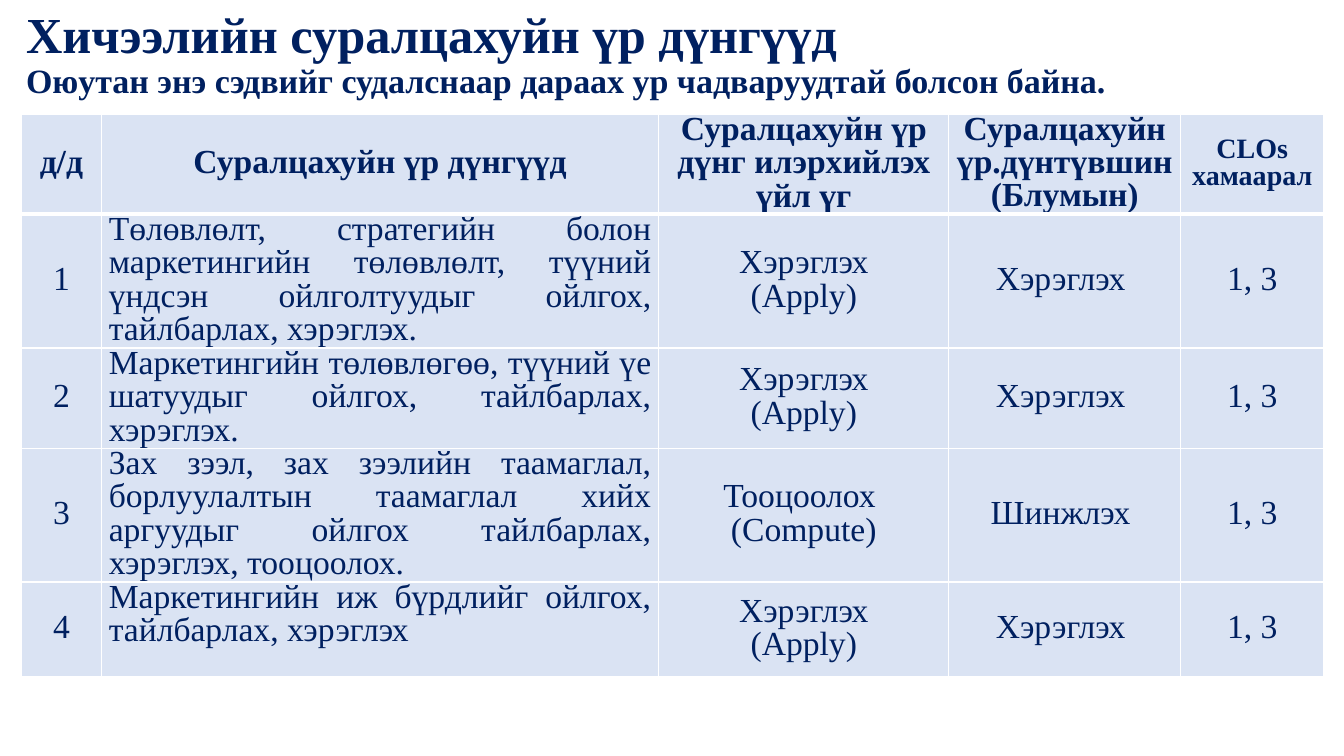
"""Build a slide that lists the learning outcomes of a course in a table."""
from dataclasses import dataclass

import lxml.etree
import pptx
import pptx.dml.color
import pptx.enum.text
import pptx.oxml.ns
import pptx.slide
import pptx.table
import pptx.text.text
import pptx.util

Pt = pptx.util.Pt
Align = pptx.enum.text.PP_ALIGN
Anchor = pptx.enum.text.MSO_ANCHOR

NAVY = pptx.dml.color.RGBColor(0x00, 0x20, 0x60)
PALE_BLUE = pptx.dml.color.RGBColor(0xDA, 0xE3, 0xF3)
WHITE = pptx.dml.color.RGBColor(0xFF, 0xFF, 0xFF)
FONT = "Times New Roman"
COLUMN_WIDTHS = (57, 398.16, 207.24, 165.6, 102.24)
ROW_HEIGHTS = (65.52, 92.16, 67.68, 92.16, 67.68)
LINE_PITCH = 0.995


@dataclass(frozen=True)
class Entry:
    text: str
    size: float = 24
    bold: bool = False
    align: Align = Align.CENTER
    anchor: Anchor = Anchor.MIDDLE


@dataclass(frozen=True)
class Outcome:
    description: str
    verb: str
    level: str
    anchor: Anchor = Anchor.MIDDLE


HEADER = (
    Entry("д/д", bold=True),
    Entry("Суралцахуйн үр дүнгүүд", bold=True),
    Entry("Суралцахуйн үр дүнг илэрхийлэх үйл үг", bold=True),
    Entry("Суралцахуйн үр.дүнтүвшин\n(Блумын)", bold=True, anchor=Anchor.TOP),
    Entry("CLOs хамаарал", size=20, bold=True),
)
OUTCOMES = (
    Outcome("Төлөвлөлт, стратегийн болон маркетингийн төлөвлөлт, түүний үндсэн "
            "ойлголтуудыг ойлгох, тайлбарлах, хэрэглэх. ",
            "Хэрэглэх\n(Apply)", "Хэрэглэх "),
    Outcome("Маркетингийн төлөвлөгөө, түүний үе шатуудыг ойлгох, тайлбарлах, хэрэглэх. ",
            "Хэрэглэх\n(Apply)", "Хэрэглэх "),
    Outcome("Зах зээл, зах зээлийн таамаглал, борлуулалтын таамаглал хийх аргуудыг "
            "ойлгох тайлбарлах, хэрэглэх, тооцоолох. ",
            "Тооцоолох \n(Compute)", "Шинжлэх ", Anchor.TOP),
    Outcome("Маркетингийн иж бүрдлийг ойлгох, тайлбарлах, хэрэглэх",
            "Хэрэглэх\n(Apply)", "Хэрэглэх ", Anchor.TOP),
)


def style_paragraph(paragraph: pptx.text.text._Paragraph, bold: bool, align: Align) -> None:
    paragraph.alignment = align
    paragraph.font.name = FONT
    paragraph.font.bold = bold
    paragraph.font.color.rgb = NAVY


def add_title(page: pptx.slide.Slide) -> None:
    box = page.shapes.add_textbox(Pt(11.52), Pt(8.64), Pt(930.24), Pt(61.92))
    frame = box.text_frame
    frame.word_wrap = True
    frame.vertical_anchor = Anchor.MIDDLE
    paragraph = frame.paragraphs[0]
    paragraph.line_spacing = 0.9
    style_paragraph(paragraph, True, Align.LEFT)
    heading = paragraph.add_run()
    heading.text = "Хичээлийн суралцахуйн үр дүнгүүд"
    heading.font.size = Pt(36)
    paragraph.add_line_break()
    subtitle = paragraph.add_run()
    subtitle.text = "Оюутан энэ сэдвийг судалснаар дараах ур чадваруудтай болсон байна."
    subtitle.font.size = Pt(24.3)


def add_bottom_border(cell: pptx.table._Cell, width: float) -> None:
    qn = pptx.oxml.ns.qn
    border = lxml.etree.Element(qn("a:lnB"), w=str(int(Pt(width))))
    fill = lxml.etree.SubElement(border, qn("a:solidFill"))
    lxml.etree.SubElement(fill, qn("a:srgbClr"), val=str(WHITE))
    cell._tc.get_or_add_tcPr().insert(0, border)


def fill_cell(cell: pptx.table._Cell, entry: Entry) -> None:
    cell.fill.solid()
    cell.fill.fore_color.rgb = PALE_BLUE
    cell.margin_left = cell.margin_right = Pt(5.4)
    cell.margin_top = cell.margin_bottom = Pt(0)
    cell.vertical_anchor = entry.anchor
    cell.text_frame.text = entry.text
    for paragraph in cell.text_frame.paragraphs:
        paragraph.line_spacing = Pt(entry.size * LINE_PITCH)
        style_paragraph(paragraph, entry.bold, entry.align)
        paragraph.font.size = Pt(entry.size)


def outcome_entries(number: int, outcome: Outcome) -> tuple[Entry, ...]:
    return (
        Entry(str(number)),
        Entry(outcome.description, align=Align.JUSTIFY, anchor=outcome.anchor),
        Entry(outcome.verb),
        Entry(outcome.level),
        Entry("1, 3"),
    )


def add_outcome_table(page: pptx.slide.Slide) -> None:
    rows = [HEADER]
    rows += [outcome_entries(number, outcome) for number, outcome in enumerate(OUTCOMES, 1)]
    table = page.shapes.add_table(
        len(rows), len(HEADER), Pt(15.4), Pt(81.4),
        Pt(sum(COLUMN_WIDTHS)), Pt(sum(ROW_HEIGHTS))).table
    table.horz_banding = False
    for column, width in zip(table.columns, COLUMN_WIDTHS):
        column.width = Pt(width)
    for row, height, entries in zip(table.rows, ROW_HEIGHTS, rows):
        row.height = Pt(height)
        for cell, entry in zip(row.cells, entries):
            fill_cell(cell, entry)
    for cell in table.rows[0].cells:
        add_bottom_border(cell, 3)


def main() -> None:
    deck = pptx.Presentation()
    deck.slide_width = Pt(960)
    deck.slide_height = Pt(540)
    page = deck.slides.add_slide(deck.slide_layouts[6])
    add_title(page)
    add_outcome_table(page)
    deck.save("out.pptx")


if __name__ == "__main__":
    main()
